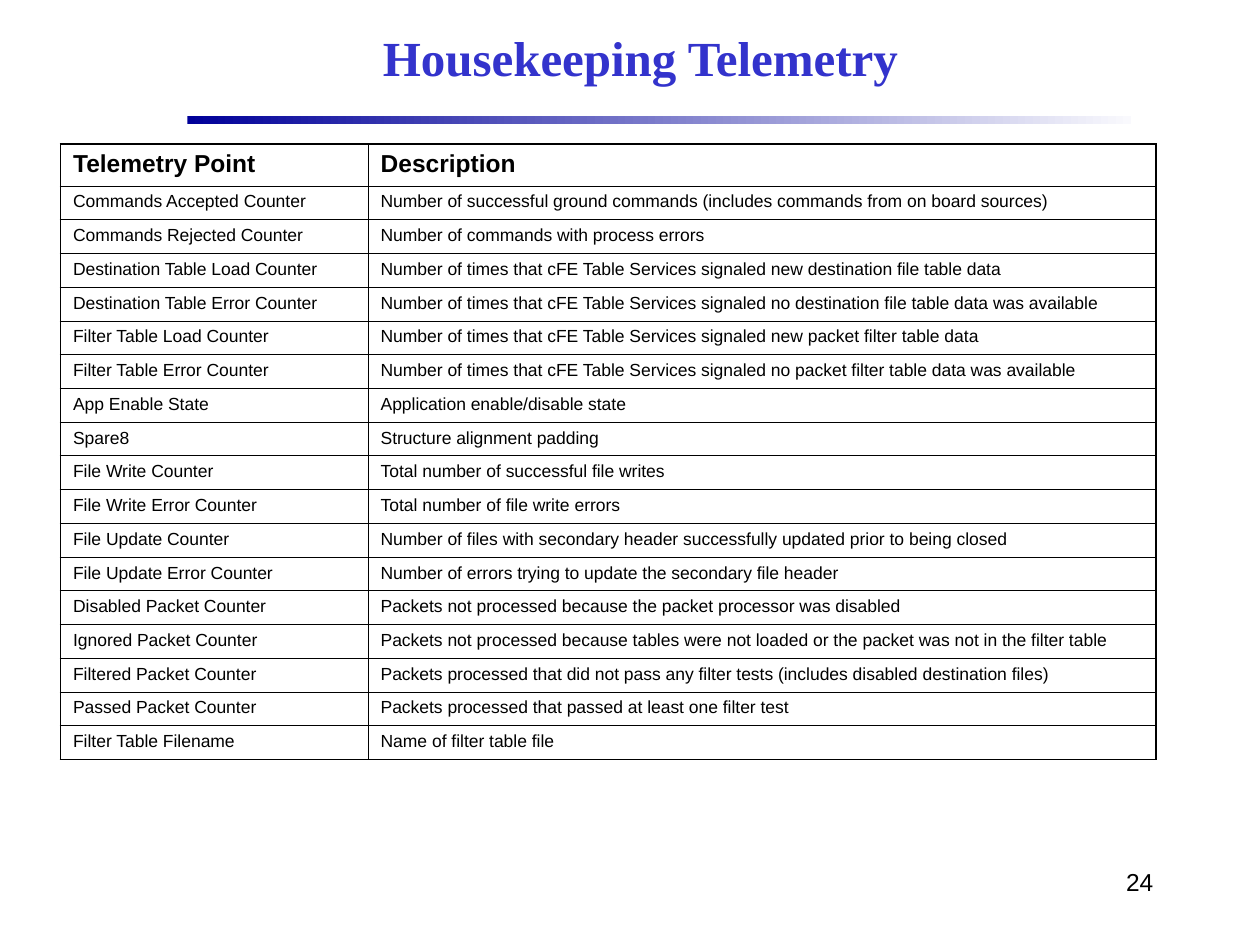
from lxml import etree
from pptx import Presentation
from pptx import util as u
from pptx.dml.color import RGBColor
from pptx.enum import shapes, text
from pptx.oxml.ns import qn

COLORS = {"title": "3333CC", "text": "000000", "border": "000000",
          "rule_start": "000099", "rule_end": "F9F9FD"}
THIN, THICK = 0.45, 1.08
ROWS = [
    ("Telemetry Point", "Description"),
    ("Commands Accepted Counter",
     "Number of successful ground commands (includes commands from on board sources)"),
    ("Commands Rejected Counter", "Number of commands with process errors"),
    ("Destination Table Load Counter",
     "Number of times that cFE Table Services signaled new destination file table data"),
    ("Destination Table Error Counter",
     "Number of times that cFE Table Services signaled no destination file table data was available"),
    ("Filter Table Load Counter",
     "Number of times that cFE Table Services signaled new packet filter table data"),
    ("Filter Table Error Counter",
     "Number of times that cFE Table Services signaled no packet filter table data was available"),
    ("App Enable State", "Application enable/disable state"),
    ("Spare8", "Structure alignment padding"),
    ("File Write Counter", "Total number of successful file writes"),
    ("File Write Error Counter", "Total number of file write errors"),
    ("File Update Counter",
     "Number of files with secondary header successfully updated prior to being closed"),
    ("File Update Error Counter", "Number of errors trying to update the secondary file header"),
    ("Disabled Packet Counter", "Packets not processed because the packet processor was disabled"),
    ("Ignored Packet Counter",
     "Packets not processed because tables were not loaded or the packet was not in the filter table"),
    ("Filtered Packet Counter",
     "Packets processed that did not pass any filter tests (includes disabled destination files)"),
    ("Passed Packet Counter", "Packets processed that passed at least one filter test"),
    ("Filter Table Filename", "Name of filter table file"),
]


class SlideBuilder:
    """Holds the text styles and the current slide, and adds elements to it."""

    styles = {
        "title": {"font": {"name": "Times New Roman", "size": u.Pt(28), "bold": True},
                  "paragraph": {"alignment": text.PP_ALIGN.CENTER}, "color": "title"},
        "number": {"font": {"name": "Arial", "size": u.Pt(14), "bold": False},
                   "paragraph": {"alignment": text.PP_ALIGN.RIGHT}, "color": "text"},
        "header": {"font": {"name": "Arial", "size": u.Pt(14), "bold": True},
                   "paragraph": {"space_before": u.Pt(6.1)}, "color": "text"},
        "body": {"font": {"name": "Arial", "size": u.Pt(10), "bold": False},
                 "paragraph": {"space_before": u.Pt(4.4)}, "color": "text"},
    }

    def __init__(self, slide):
        self.slide = slide

    def add_text(self, frame, content, style_name):
        style = self.styles[style_name]
        paragraph = frame.paragraphs[0]
        run = paragraph.add_run()
        run.text = content
        for target, values in ((run.font, style["font"]), (paragraph, style["paragraph"])):
            for name, value in values.items():
                setattr(target, name, value)
        run.font.color.rgb = RGBColor.from_string(COLORS[style["color"]])

    def text_box(self, box, content, style_name, anchor):
        frame = self.slide.shapes.add_textbox(*map(u.Cm, box)).text_frame
        frame.word_wrap = True
        frame.vertical_anchor = anchor
        self.add_text(frame, content, style_name)

    def gradient_bar(self, box, stops):
        shape = self.slide.shapes.add_shape(shapes.MSO_SHAPE.RECTANGLE, *map(u.Cm, box))
        shape.shadow.inherit = False
        shape.line.fill.background()
        shape.fill.gradient()
        shape.fill.gradient_angle = 0
        for stop, name in zip(shape.fill.gradient_stops, stops):
            stop.color.rgb = RGBColor.from_string(COLORS[name])

    def border(self, cell, widths):
        properties = cell._tc.get_or_add_tcPr()
        for side, width in zip("LRTB", widths):
            line = etree.SubElement(properties, qn(f"a:ln{side}"), w=str(int(u.Pt(width))))
            fill = etree.SubElement(line, qn("a:solidFill"))
            etree.SubElement(fill, qn("a:srgbClr"), val=COLORS["border"])

    def table(self, left, top, column_widths, header_height, row_height, rows):
        heights = [header_height] + [row_height] * (len(rows) - 1)
        size = (sum(column_widths), sum(heights))
        table = self.slide.shapes.add_table(
            len(rows), len(column_widths), *map(u.Cm, (left, top, *size))).table
        table.first_row = table.horz_banding = False
        for column, width in zip(table.columns, column_widths):
            column.width = u.Cm(width)
        last = len(column_widths) - 1
        for r, (values, height) in enumerate(zip(rows, heights)):
            table.rows[r].height = u.Cm(height)
            for c, value in enumerate(values):
                cell = table.cell(r, c)
                self.add_text(cell.text_frame, value, "body" if r else "header")
                self.border(cell, (THIN if c else THICK, THICK if c == last else THIN,
                                   THIN if r else THICK, THIN))
                cell.fill.background()


def main():
    presentation = Presentation()
    presentation.slide_width, presentation.slide_height = u.Cm(25.4), u.Cm(19.05)
    builder = SlideBuilder(presentation.slides.add_slide(presentation.slide_layouts[6]))
    builder.gradient_bar((3.78, 2.33, 19.02, 0.18), ("rule_start", "rule_end"))
    builder.text_box((18.2, 17.35, 5.3, 1.27), "24", "number", text.MSO_ANCHOR.TOP)
    builder.text_box((3.81, 0.2, 18.2, 1.9), "Housekeeping Telemetry", "title",
                     text.MSO_ANCHOR.MIDDLE)
    builder.table(1.22, 2.9, (6.2, 15.88), 0.84, 0.68, ROWS)
    presentation.save("out.pptx")


if __name__ == "__main__":
    main()
